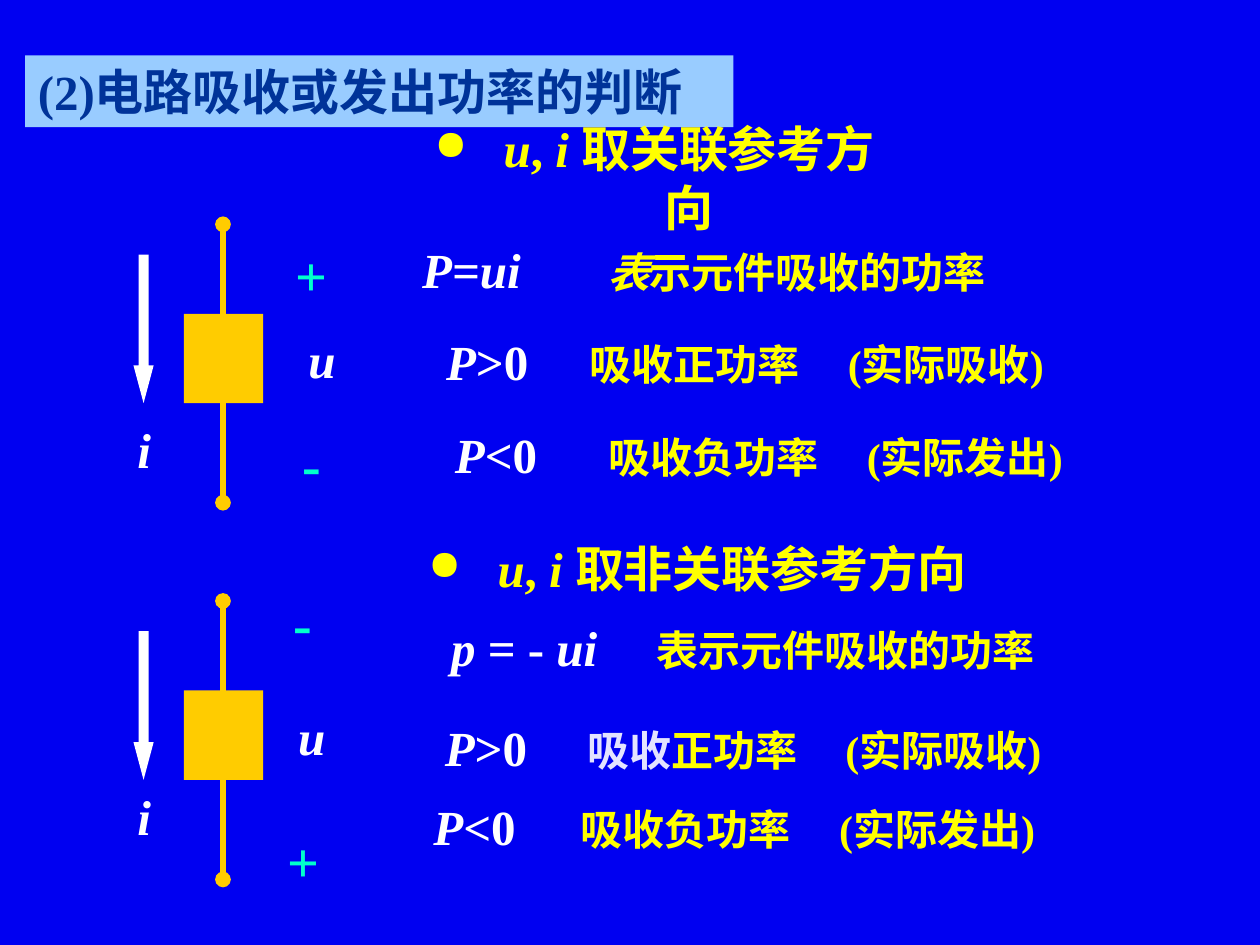
from lxml.etree import SubElement as Sub
from pptx import Presentation
from pptx.dml.color import RGBColor as Rgb
from pptx.enum.shapes import MSO_CONNECTOR as Conn, MSO_SHAPE as Geo
from pptx.enum.text import MSO_ANCHOR as Anchor, MSO_AUTO_SIZE as Fit, PP_ALIGN as Align
from pptx.oxml.ns import qn
from pptx.util import Inches, Pt

COLORS = {
    "back": "0000F1", "band": "99CCFF", "title": "003399", "key": "FFFF00",
    "white": "FFFFFF", "pale": "E3E3FF", "sign": "00FFCC", "part": "FFCC00",
}
FONT = "Times New Roman"
INSET = 0.1
NOTE_GAP = 2.05  # from the meaning column to the bracketed note


def color(name):
    return Rgb.from_string(COLORS[name])


def add_run(para, text, tint, size=28, italic=False):
    run = para.add_run()
    run.text = text
    font = run.font
    font.name, font.size = FONT, Pt(size)
    font.bold, font.italic = True, italic
    font.color.rgb = color(tint)


def add_text(slide, left, top, width, height=0.57, anchor=Anchor.MIDDLE, align=Align.CENTER):
    box = slide.shapes.add_textbox(Inches(left), Inches(top), Inches(width), Inches(height))
    frame = box.text_frame
    frame.word_wrap = True
    frame.auto_size = Fit.SHAPE_TO_FIT_TEXT
    frame.vertical_anchor = anchor
    para = frame.paragraphs[0]
    para.alignment = align
    return frame, para


def add_title(slide):
    title = slide.shapes.title
    title.left, title.top = Inches(0.2), Inches(0.44)
    title.width, title.height = Inches(5.62), Inches(0.57)
    title.fill.solid()
    title.fill.fore_color.rgb = color("band")
    frame = title.text_frame
    frame.auto_size = Fit.NONE
    frame.vertical_anchor = Anchor.MIDDLE
    para = frame.paragraphs[0]
    para.alignment = Align.LEFT
    add_run(para, "(2)电路吸收或发出功率的判断", "title")


def add_case(slide, top, width, text):
    """Bulleted heading of one reference direction case."""
    para = add_text(slide, 3.11, top, width)[1]
    props = para._p.get_or_add_pPr()
    props.set("marL", str(Inches(0.6)))
    props.set("indent", str(-Inches(0.55)))
    tint = Sub(props, qn("a:buClr"))
    Sub(tint, qn("a:srgbClr"), val=COLORS["key"])
    Sub(props, qn("a:buSzPct"), val="85000")
    Sub(props, qn("a:buChar"), char="●")
    for part, slant in (("u", True), (", ", False), ("i ", True), (text, False)):
        add_run(para, part, "key", italic=slant)


def add_row(slide, left, top, width, start, stop, runs):
    """Formula at start, its meaning at the first tab stop, a note at the second."""
    frame, para = add_text(slide, left, top, width, align=Align.LEFT)
    frame.margin_left = Inches(start - left)
    tabs = Sub(para._p.get_or_add_pPr(), qn("a:tabLst"))
    for pos in (stop - start, stop - start + NOTE_GAP):
        Sub(tabs, qn("a:tab"), pos=str(Inches(pos)), algn="l")
    for run in runs:
        add_run(para, *run)


def add_solid(slide, kind, left, top, width, height, tint):
    shape = slide.shapes.add_shape(kind, Inches(left), Inches(top), Inches(width), Inches(height))
    shape.shadow.inherit = False
    shape.fill.solid()
    shape.fill.fore_color.rgb = color(tint)
    shape.line.fill.background()
    return shape


def add_wire(slide, x, top, end):
    wire = slide.shapes.add_connector(Conn.STRAIGHT, Inches(x), Inches(top), Inches(x), Inches(end))
    wire.line.color.rgb = color("part")
    wire.line.width = Pt(3)
    line = wire.line._get_or_add_ln()
    for end_tag in ("a:headEnd", "a:tailEnd"):
        Sub(line, qn(end_tag), type="oval")
    Sub(wire._element.spPr, qn("a:effectLst"))


def add_circuit(slide, top, labels):
    add_wire(slide, 1.77, top, top + 2.21)
    add_solid(slide, Geo.RECTANGLE, 1.46, top + 0.71, 0.63, 0.71, "part")
    arrow = add_solid(slide, Geo.DOWN_ARROW, 1.06, top + 0.24, 0.16, 1.18, "white")
    arrow.adjustments[0], arrow.adjustments[1] = 0.5, 1.87
    for text, left, y in labels:
        sign = text in "+-"
        height = 0.63 if sign else 0.57
        para = add_text(slide, left, y, 0.63, height, Anchor.TOP)[1]
        add_run(para, text, "sign" if sign else "white", 32 if sign else 28, not sign)


def power(mark, *rest):
    """Runs for a row that tells the sign of P."""
    return [("P", "white", 28, True), (mark, "white"), *rest]


def main():
    deck = Presentation()
    deck.slide_width, deck.slide_height = Inches(10), Inches(7.5)
    slide = deck.slides.add_slide(deck.slide_layouts[5])
    slide.background.fill.solid()
    slide.background.fill.fore_color.rgb = color("back")
    add_title(slide)

    add_case(slide, 1.12, 4.12, "取关联参考方向")
    add_case(slide, 4.22, 4.8, "取非关联参考方向")

    gain = ("\t吸收正功率\t(实际吸收)", "key", 24)
    loss = ("\t吸收负功率\t(实际发出)", "key", 24)
    rows = [
        (3.03, 1.85, 5.08, 3.35, 4.82, [
            ("P=ui", "white", 28, True), ("\t表", "key", 24, True),
            ("示元件吸收的功率", "key", 24)]),
        (3.28, 2.58, 5.42, 3.54, 4.68, power(">0", gain)),
        (3.43, 3.32, 5.35, 3.61, 4.83, power("<0", loss)),
        (3.35, 4.85, 5.08, 3.58, 5.21, [
            ("p ", "white", 28, True), ("= - ", "white"), ("ui", "white", 28, True),
            ("\t表示元件吸收的功率", "key", 24)]),
        (3.27, 5.64, 5.42, 3.53, 4.66, power(
            ">0", ("\t吸收", "pale", 24), ("正功率\t(实际吸收)", "key", 24))),
        (3.27, 6.27, 5.26, 3.44, 4.61, power("<0", loss)),
    ]
    for row in rows:
        add_row(slide, *row)

    add_circuit(slide, 1.78, [
        ("+", 2.16, 1.86), ("u", 2.24, 2.57), ("-", 2.16, 3.36), ("i", 0.83, 3.28)])
    add_circuit(slide, 4.77, [
        ("-", 2.09, 4.62), ("u", 2.16, 5.56), ("+", 2.09, 6.51), ("i", 0.83, 6.19)])
    deck.save("out.pptx")


if __name__ == "__main__":
    main()
